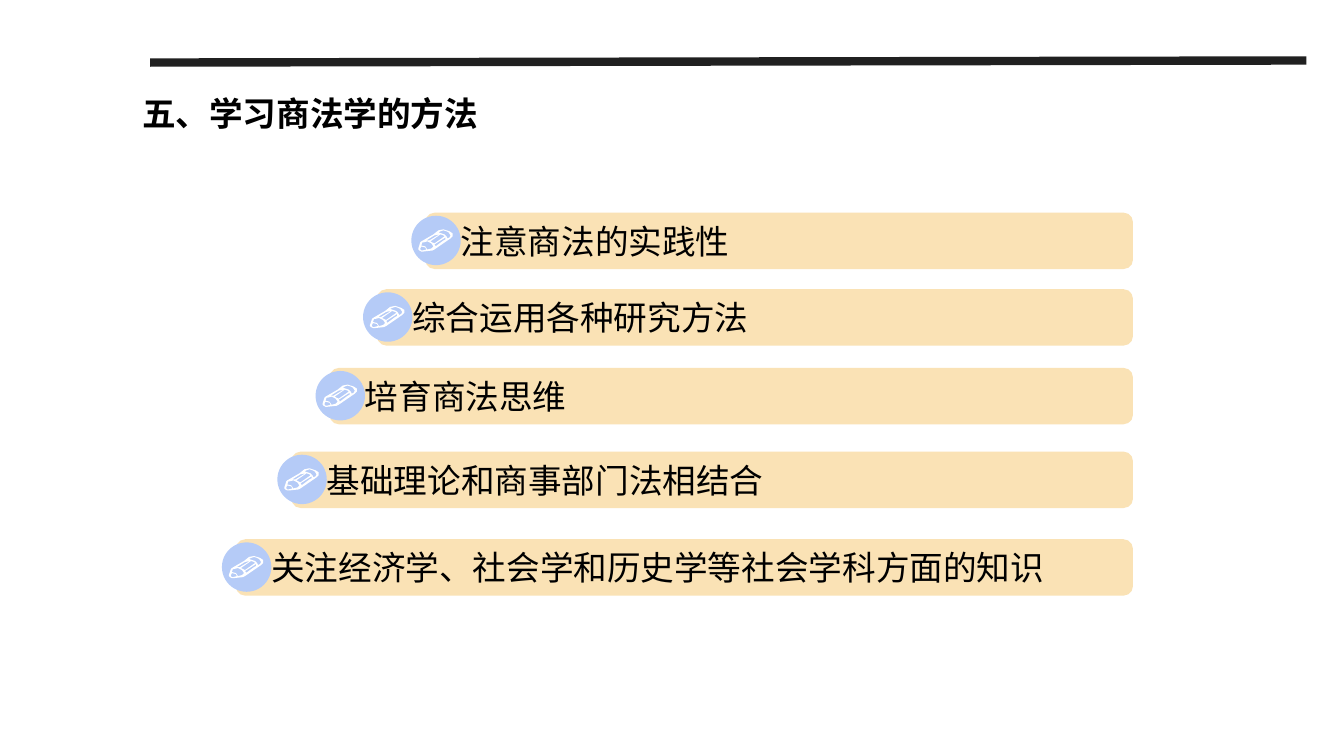
import pptx
import pptx.util
import pptx.dml.color
import pptx.enum.shapes
import pptx.enum.text
import pptx.oxml
import pptx.oxml.ns
from dataclasses import dataclass

Pt = pptx.util.Pt
RGB = pptx.dml.color.RGBColor.from_string
SHAPE = pptx.enum.shapes.MSO_SHAPE
ALIGN = pptx.enum.text.PP_ALIGN
ANCHOR = pptx.enum.text.MSO_ANCHOR


@dataclass(frozen=True)
class Theme:
    font: str = "Noto Sans CJK SC"
    size: float = 24
    text: str = "000000"
    rule: str = "202020"
    rule_width: float = 6
    bar: str = "FAE2B5"
    badge: str = "B5CBF7"
    pencil: str = "FFFFFF"


THEME = Theme()
TITLE = "五、学习商法学的方法"
BAR_RIGHT, BAR_HEIGHT = 809.3, 40.3
METHODS = [
    (303.8, 151.9, "注意商法的实践性"),
    (269.3, 206.6, "综合运用各种研究方法"),
    (235.4, 262.8, "培育商法思维"),
    (208.1, 322.6, "基础理论和商事部门法相结合"),
    (168.5, 385.2, "关注经济学、社会学和历史学等社会学科方面的知识"),
]
PENCIL_UNIT = 0.72
PENCIL_CONTOURS = [
    [(31, 2), (28, 1), (25, 0), (20, 1), (15, 5), (3, 12), (2, 13), (0, 19),
     (0, 20), (1, 21), (3, 22), (5, 22), (14, 21), (16, 20), (32, 9), (34, 7), (34, 4)],
    [(17, 16), (16, 15), (27, 8), (27, 10), (25, 11), (17, 17)],
    [(16, 14), (14, 13), (12, 12), (22, 5), (25, 6), (26, 7)],
    [(11, 11), (8, 11), (16, 6), (21, 5)],
    [(4, 21), (3, 21), (2, 20), (2, 19), (3, 17), (7, 18), (8, 20)],
    [(9, 20), (7, 17), (3, 16), (4, 13), (5, 13), (9, 12), (13, 14), (15, 17), (13, 19)],
    [(31, 8), (29, 9), (28, 7), (26, 5), (23, 4), (20, 3), (22, 2), (25, 1),
     (28, 2), (30, 3), (32, 6)],
]


def set_attrs(obj, values):
    for name, value in values.items():
        setattr(obj, name, value)


def paint(sp, color):
    sp.shadow.inherit = False
    sp.fill.solid()
    sp.fill.fore_color.rgb = RGB(color)
    sp.line.fill.background()


def write(tf, text, frame_format, bold=False, line_spacing=1.0):
    set_attrs(tf, {"word_wrap": True, "vertical_anchor": ANCHOR.MIDDLE, **frame_format})
    p = tf.paragraphs[0]
    set_attrs(p, {"alignment": ALIGN.LEFT, "line_spacing": line_spacing})
    r = p.add_run()
    r.text = text
    set_attrs(r.font, {"name": THEME.font, "size": Pt(THEME.size), "bold": bold})
    r.font.color.rgb = RGB(THEME.text)
    ea = pptx.oxml.parse_xml(
        f'<a:ea {pptx.oxml.ns.nsdecls("a")} typeface="{THEME.font}"/>')
    r.font._element.find(pptx.oxml.ns.qn("a:latin")).addnext(ea)


def add_heading(s, x, y, w, h):
    rule = s.shapes.add_connector(
        pptx.enum.shapes.MSO_CONNECTOR.STRAIGHT,
        Pt(x + 13), Pt(y + 31), Pt(x + 838.8), Pt(y + 29.5))
    rule.line.width = Pt(THEME.rule_width)
    rule.line.color.rgb = RGB(THEME.rule)
    rule._element.spPr.append(
        pptx.oxml.parse_xml(f'<a:effectLst {pptx.oxml.ns.nsdecls("a")}/>'))
    sp = s.shapes.title
    set_attrs(sp, {"left": Pt(x), "top": Pt(y), "width": Pt(w), "height": Pt(h)})
    write(sp.text_frame, TITLE, {"auto_size": pptx.enum.text.MSO_AUTO_SIZE.NONE},
          bold=True, line_spacing=0.9)


def add_pencil(s, x, y):
    outline, *holes = PENCIL_CONTOURS
    fb = s.shapes.build_freeform(*outline[0], scale=Pt(PENCIL_UNIT))
    fb.add_line_segments(outline[1:], close=True)
    for hole in holes:
        fb.move_to(*hole[0])
        fb.add_line_segments(hole[1:], close=True)
    paint(fb.convert_to_shape(Pt(x), Pt(y)), THEME.pencil)


def add_method(s, x, y, w, h, text):
    bar = s.shapes.add_shape(SHAPE.ROUNDED_RECTANGLE, Pt(x), Pt(y), Pt(w), Pt(h))
    paint(bar, THEME.bar)
    write(bar.text_frame, text, {"margin_left": Pt(23.3)})
    size = h - 5
    badge = s.shapes.add_shape(SHAPE.OVAL, Pt(x - 10), Pt(y + 2.2), Pt(size), Pt(size))
    paint(badge, THEME.badge)
    add_pencil(s, x - 5, y + 11.9)


def main():
    prs = pptx.Presentation()
    set_attrs(prs, {"slide_width": Pt(960), "slide_height": Pt(540)})
    s = prs.slides.add_slide(prs.slide_layouts[5])
    add_heading(s, 94.3, 13.7, 725.8, 138.2)
    for x, y, text in METHODS:
        add_method(s, x, y, BAR_RIGHT - x, BAR_HEIGHT, text)
    prs.save("out.pptx")


if __name__ == "__main__":
    main()
